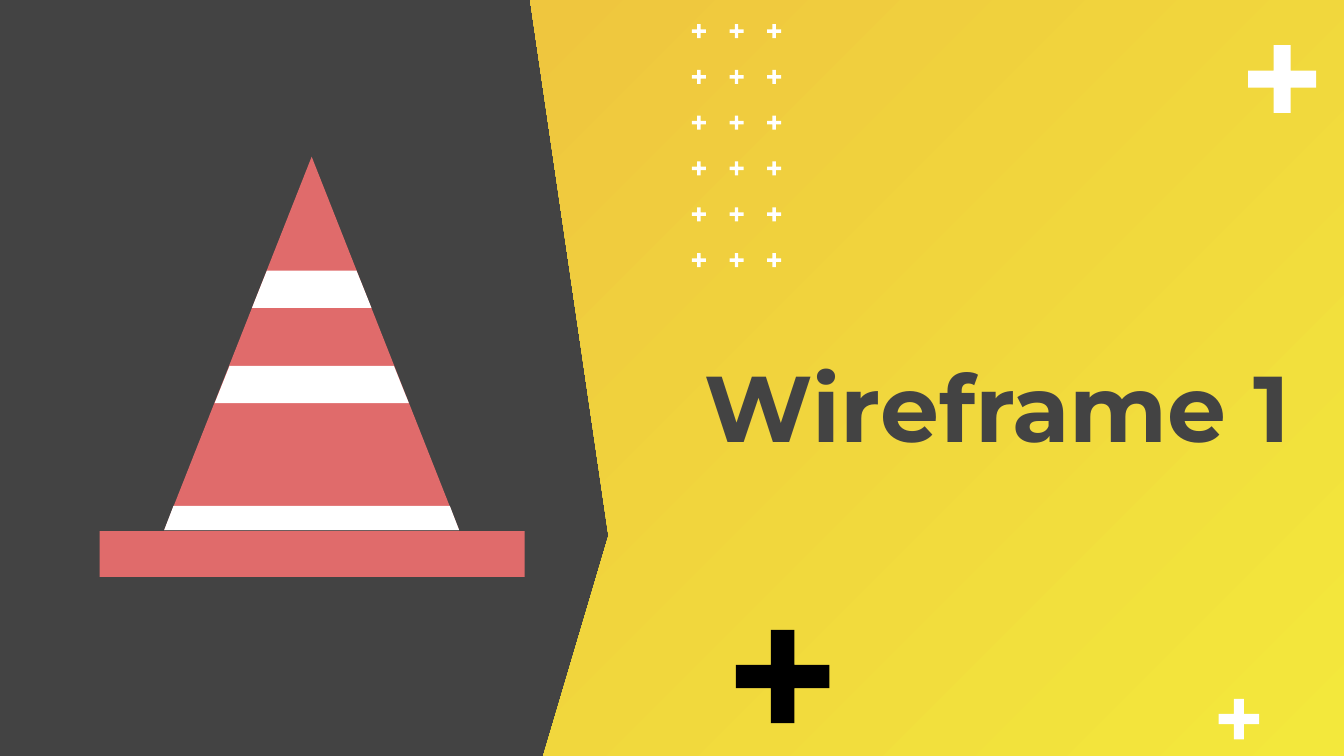
import pptx
import pptx.dml.color
import pptx.enum.shapes
import pptx.enum.text
import pptx.util

Pt = pptx.util.Pt
RGB = pptx.dml.color.RGBColor.from_string
SHAPE = pptx.enum.shapes.MSO_SHAPE

theme = {
    "dark": RGB("434343"),
    "yellow": RGB("F3E83C"),
    "amber": RGB("EFC63E"),
    "coral": RGB("E06B6B"),
    "white": RGB("FFFFFF"),
    "black": RGB("000000"),
    "font": "Montserrat",
    "title_size": Pt(50),
}


def add_preset(shapes, kind, left, top, width, height, color):
    shape = shapes.add_shape(kind, Pt(left), Pt(top), Pt(width), Pt(height))
    shape.shadow.inherit = False
    shape.fill.solid()
    shape.fill.fore_color.rgb = theme[color]
    shape.line.fill.background()
    if kind == SHAPE.CROSS:
        shape.adjustments[0] = 0.375  # each arm is a quarter of the width
    return shape


def add_outline(shapes, points, color):
    builder = shapes.build_freeform(*points[0], scale=Pt(1))
    builder.add_line_segments(points[1:], close=True)
    outline = builder.convert_to_shape()
    outline.shadow.inherit = False
    outline.fill.solid()
    outline.fill.fore_color.rgb = theme[color]
    outline.line.fill.background()
    return outline


deck = pptx.Presentation()
deck.slide_width, deck.slide_height = Pt(720), Pt(405)
slide = deck.slides.add_slide(deck.slide_layouts[5])
slide.background.fill.solid()
slide.background.fill.fore_color.rgb = theme["dark"]

# Yellow panel, lighter towards the bottom right
panel = add_outline(
    slide.shapes,
    [(720, 0), (720, 405), (290.9, 405), (325.5, 287), (284, 0)],
    "yellow",
)
panel.fill.gradient()
panel.fill.gradient_angle = 135
for stop, color in zip(panel.fill.gradient_stops, ("yellow", "amber")):
    stop.color.rgb = theme[color]

# Large crosses: left, top, size, colour
for left, top, size, color in [
    (394.3, 337.5, 50, "black"),
    (668.7, 24.2, 36.3, "white"),
    (652.9, 374.4, 21.7, "white"),
]:
    add_preset(slide.shapes, SHAPE.CROSS, left, top, size, size, color)

# Title, placed above the panel
title = slide.shapes.title
slide.shapes._spTree.append(title._element)
title_place = {"left": 314.6, "top": 212.4, "width": 383.8, "height": 9.4}
for name, value in title_place.items():
    setattr(title, name, Pt(value))
title.text = "Wireframe 1"
frame_format = {
    "vertical_anchor": pptx.enum.text.MSO_ANCHOR.MIDDLE,
    "auto_size": pptx.enum.text.MSO_AUTO_SIZE.NONE,
    "word_wrap": True,
    "margin_left": Pt(7.2),
    "margin_top": Pt(7.2),
    "margin_right": Pt(7.2),
    "margin_bottom": Pt(7.2),
}
for name, value in frame_format.items():
    setattr(title.text_frame, name, value)
heading = title.text_frame.paragraphs[0]
heading.alignment = pptx.enum.text.PP_ALIGN.RIGHT
font_format = {"name": theme["font"], "size": theme["title_size"], "bold": True}
for name, value in font_format.items():
    setattr(heading.runs[0].font, name, value)
heading.runs[0].font.color.rgb = theme["dark"]

# Grid of small crosses
cross_grid = slide.shapes.add_group_shape()
for column in range(3):
    for row in range(6):
        add_preset(cross_grid.shapes, SHAPE.CROSS, 370.6 + 20.2 * column,
                   12.9 + 24.53 * row, 7.5, 7.5, "white")

# Traffic cone: the stripes follow the slope of its sides
cone = slide.shapes.add_group_shape()
apex_x, apex_y, base_y = 166.8, 84.2, 284.5
slope = 79.2 / (base_y - apex_y)
for top, bottom, color in [
    (apex_y, base_y, "coral"),
    (144.7, 164.8, "white"),
    (196, 216.1, "white"),
    (271, 284, "white"),
]:
    upper, lower = slope * (top - apex_y), slope * (bottom - apex_y)
    add_outline(
        cone.shapes,
        [(apex_x - upper, top), (apex_x - lower, bottom),
         (apex_x + lower, bottom), (apex_x + upper, top)],
        color,
    )
add_preset(cone.shapes, SHAPE.RECTANGLE, 53.4, base_y, 227.7, 24.6, "coral")

deck.save("out.pptx")
